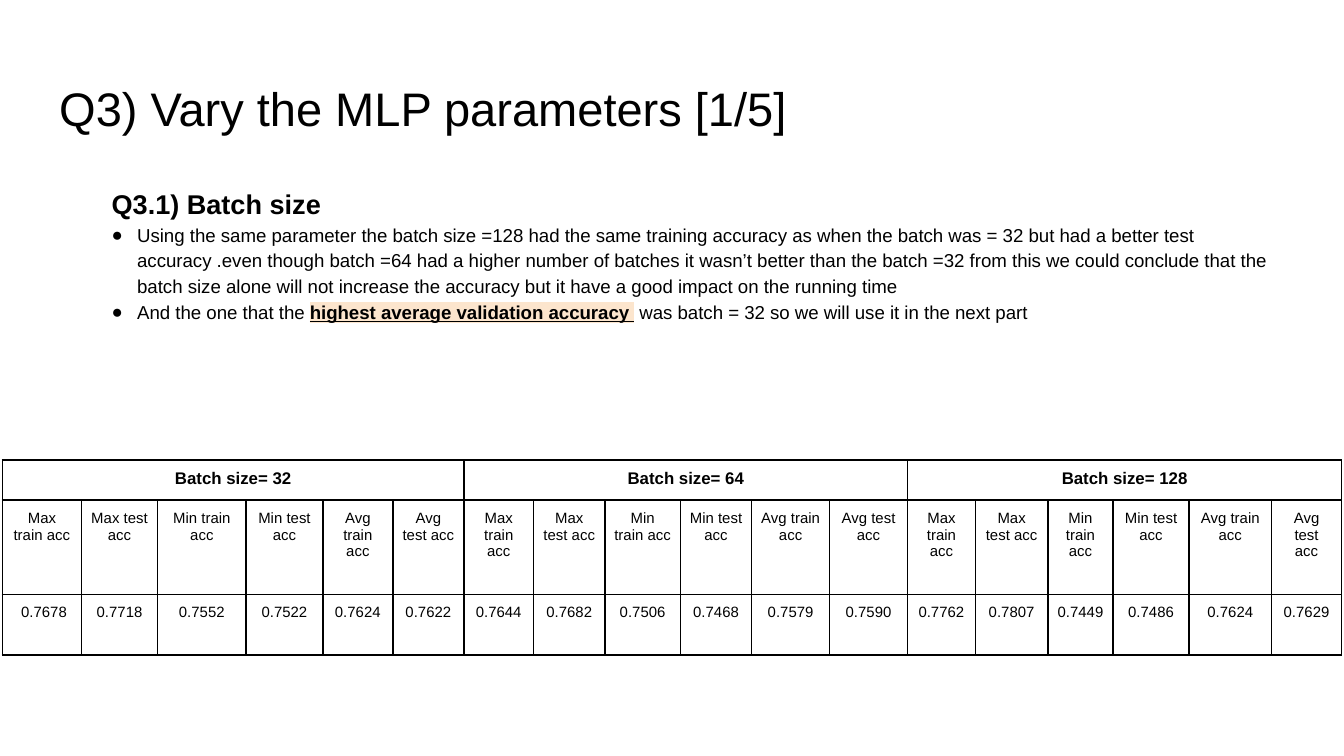
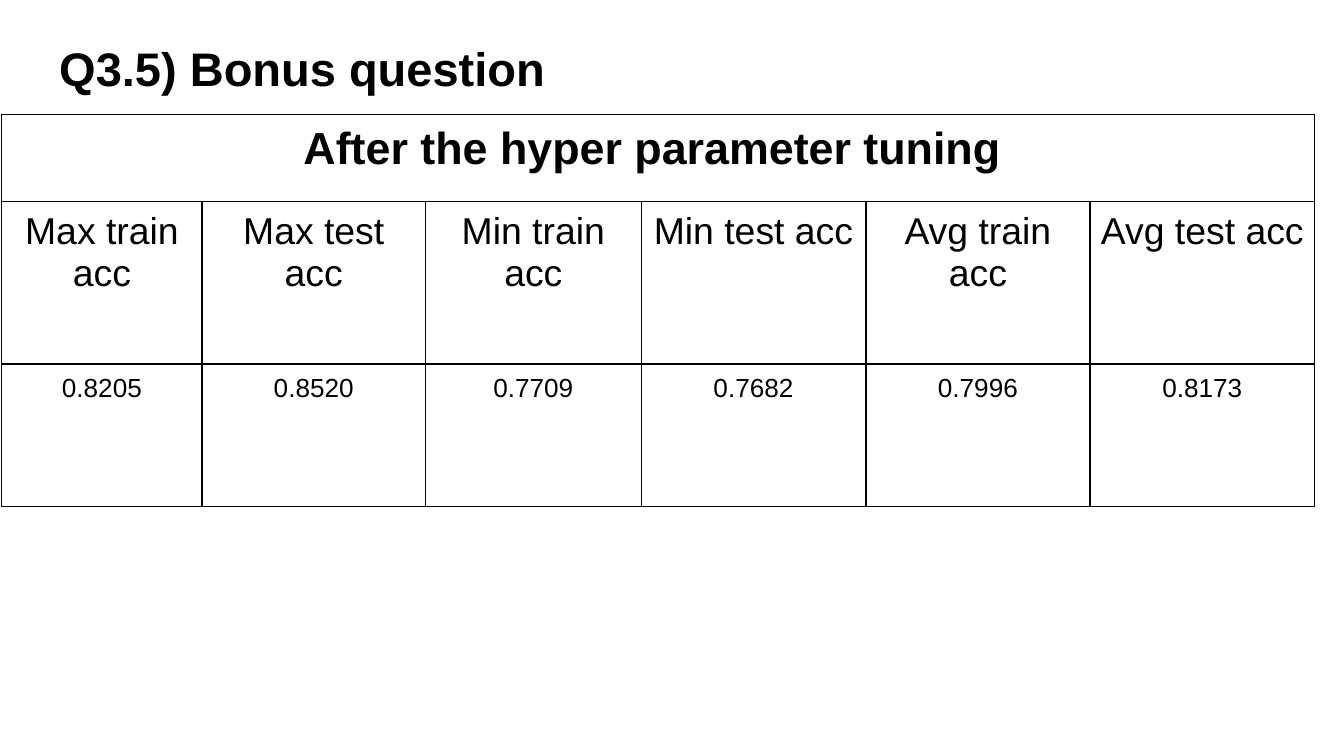
from dataclasses import dataclass
from itertools import product

from lxml.etree import SubElement
from pptx import Presentation
from pptx.dml.color import RGBColor
from pptx.enum.text import MSO_ANCHOR, PP_ALIGN
from pptx.oxml.ns import qn
from pptx.slide import Slide
from pptx.util import Emu, Pt

EMU_PER_PX = 2286  # 400 px to the inch


@dataclass(frozen=True)
class Theme:
    font: str = "Arial"
    ink: str = "000000"
    paper: str = "FFFFFF"
    marker: str = "FCE5CD"
    title_size: float = 25.2
    heading_size: float = 14.5
    body_size: float = 10
    body_spacing: float = 1.15
    cell_inset: float = 5
    border: float = 1


@dataclass(frozen=True)
class Box:
    left: int
    top: int
    width: int
    height: int


@dataclass(frozen=True)
class TextRun:
    text: str
    size: float
    bold: bool = False
    underline: bool = False
    highlight: str | None = None


@dataclass(frozen=True)
class BodyLine:
    runs: tuple[TextRun, ...]
    margin: int
    indent: int = 0
    bullet: str | None = None


@dataclass(frozen=True)
class ResultGroup:
    heading: str
    values: tuple[str, ...]


@dataclass(frozen=True)
class ResultTable:
    left: int
    top: int
    columns: tuple[int, ...]
    rows: tuple[int, ...]
    sizes: tuple[float, ...]
    groups: tuple[ResultGroup, ...]
    fill: str | None = None


THEME = Theme()
METRICS = tuple(
    f"{statistic} {part} acc"
    for statistic, part in product(("Max", "Min", "Avg"), ("train", "test"))
)

BATCH_NOTES = (
    BodyLine((TextRun("Q3.1) Batch size", THEME.heading_size, bold=True),), margin=156),
    BodyLine(
        (
            TextRun(
                "Using the same parameter the batch size =128 had the same training "
                "accuracy as when the batch was = 32 but had a better test accuracy "
                ".even though batch =64 had a higher number of batches it wasn’t better "
                "than the batch =32 from this we could conclude that the batch size "
                "alone will not increase the accuracy but it have a good impact on the "
                "running time",
                THEME.body_size,
            ),
        ),
        margin=232, indent=-76, bullet="●",
    ),
    BodyLine(
        (
            TextRun("And the one that the ", THEME.body_size),
            TextRun("highest average validation accuracy ", THEME.body_size,
                    bold=True, underline=True, highlight=THEME.marker),
            TextRun(" was batch = 32 so we will use it in the next part",
                    THEME.body_size),
        ),
        margin=232, indent=-76, bullet="●",
    ),
)

BATCH_TABLE = ResultTable(
    left=7,
    top=1369,
    columns=(236, 226, 264, 228, 209, 211, 208, 212, 225,
             212, 232, 232, 202, 216, 194, 226, 246, 208),
    rows=(120, 280, 180),
    sizes=(9, 8, 8),
    groups=(
        ResultGroup("Batch size= 32",
                    (" 0.7678", "0.7718", "0.7552", "0.7522", "0.7624", "0.7622")),
        ResultGroup("Batch size= 64",
                    ("0.7644", "0.7682", "0.7506", "0.7468", "0.7579", "0.7590")),
        ResultGroup("Batch size= 128",
                    ("0.7762", "0.7807", "0.7449", "0.7486", "0.7624", "0.7629")),
    ),
)

TUNED_TABLE = ResultTable(
    left=5,
    top=341,
    columns=(597, 664, 643, 668, 668, 668),
    rows=(259, 484, 424),
    sizes=(24, 20, 14),
    groups=(
        ResultGroup("After the hyper parameter tuning ",
                    ("0.8205", "0.8520", "0.7709", "0.7682", "0.7996", "0.8173")),
    ),
    fill=THEME.paper,
)


def px(length: int) -> Emu:
    return Emu(length * EMU_PER_PX)


def add_color(parent, tag: str, color: str) -> None:
    """Append a colour-holding element such as a:highlight or a:buClr."""
    SubElement(SubElement(parent, qn(tag)), qn("a:srgbClr"), val=color)


def add_bullet(properties, character: str) -> None:
    add_color(properties, "a:buClr", THEME.ink)
    SubElement(properties, qn("a:buSzPts"), val=str(THEME.body_size * 100))
    SubElement(properties, qn("a:buFont"), typeface=THEME.font)
    SubElement(properties, qn("a:buChar"), char=character)


def add_run(paragraph, text_run: TextRun) -> None:
    run = paragraph.add_run()
    run.text = text_run.text
    font = run.font
    font.size = Pt(text_run.size)
    font.bold = text_run.bold
    font.underline = text_run.underline
    font.color.rgb = RGBColor.from_string(THEME.ink)
    if text_run.highlight:
        add_color(run._r.get_or_add_rPr(), "a:highlight", text_run.highlight)
    font.name = THEME.font


def add_text_frame(slide: Slide, box: Box, anchor: MSO_ANCHOR):
    shape = slide.shapes.add_textbox(
        px(box.left), px(box.top), px(box.width), px(box.height)
    )
    frame = shape.text_frame
    frame.word_wrap = True
    frame.vertical_anchor = anchor
    frame.margin_left = frame.margin_right = px(40)
    frame.margin_top = frame.margin_bottom = px(40)
    return frame


def add_title(slide: Slide, text: str, top: int, bold: bool = False) -> None:
    frame = add_text_frame(slide, Box(137, top, 3727, 251), MSO_ANCHOR.MIDDLE)
    add_run(frame.paragraphs[0], TextRun(text, THEME.title_size, bold))


def add_body(slide: Slide, lines: tuple[BodyLine, ...]) -> None:
    frame = add_text_frame(slide, Box(137, 504, 3727, 1495), MSO_ANCHOR.TOP)
    for index, line in enumerate(lines):
        paragraph = frame.add_paragraph() if index else frame.paragraphs[0]
        paragraph.line_spacing = THEME.body_spacing
        properties = paragraph._p.get_or_add_pPr()
        properties.set("marL", str(px(line.margin)))
        properties.set("indent", str(px(line.indent)))
        if line.bullet:
            add_bullet(properties, line.bullet)
        for text_run in line.runs:
            add_run(paragraph, text_run)


def style_cell(cell, fill: str | None) -> None:
    """Set the insets, the four borders and the fill of a cell."""
    cell.margin_left = cell.margin_right = Pt(THEME.cell_inset)
    cell.margin_top = cell.margin_bottom = Pt(THEME.cell_inset)
    properties = cell._tc.get_or_add_tcPr()
    for side in ("a:lnL", "a:lnR", "a:lnT", "a:lnB"):
        line = SubElement(properties, qn(side), w=str(Pt(THEME.border)))
        add_color(line, "a:solidFill", THEME.ink)
    if fill:
        cell.fill.solid()
        cell.fill.fore_color.rgb = RGBColor.from_string(fill)
    else:
        cell.fill.background()


def write_cell(cell, text: str, size: float, bold: bool = False) -> None:
    paragraph = cell.text_frame.paragraphs[0]
    paragraph.alignment = PP_ALIGN.CENTER
    add_run(paragraph, TextRun(text, size, bold))


def add_results(slide: Slide, results: ResultTable) -> None:
    table = slide.shapes.add_table(
        len(results.rows), len(results.columns),
        px(results.left), px(results.top),
        px(sum(results.columns)), px(sum(results.rows)),
    ).table
    table.first_row = table.horz_banding = False
    for column, width in zip(table.columns, results.columns):
        column.width = px(width)
    for row, height in zip(table.rows, results.rows):
        row.height = px(height)
    for cell in table.iter_cells():
        style_cell(cell, results.fill)

    heading_size, metric_size, value_size = results.sizes
    for group_index, group in enumerate(results.groups):
        first = group_index * len(METRICS)
        heading = table.cell(0, first)
        heading.merge(table.cell(0, first + len(METRICS) - 1))
        write_cell(heading, group.heading, heading_size, bold=True)
        for column, (metric, value) in enumerate(zip(METRICS, group.values), first):
            write_cell(table.cell(1, column), metric, metric_size)
            write_cell(table.cell(2, column), value, value_size)


def add_blank_slide(presentation) -> Slide:
    slide = presentation.slides.add_slide(presentation.slide_layouts[6])
    slide.background.fill.solid()
    slide.background.fill.fore_color.rgb = RGBColor.from_string(THEME.paper)
    return slide


def main() -> None:
    presentation = Presentation()
    presentation.slide_width = px(4000)
    presentation.slide_height = px(2250)

    batch_slide = add_blank_slide(presentation)
    add_title(batch_slide, "Q3) Vary the MLP parameters [1/5]", top=195)
    add_body(batch_slide, BATCH_NOTES)
    add_results(batch_slide, BATCH_TABLE)

    bonus_slide = add_blank_slide(presentation)
    add_title(bonus_slide, "Q3.5) Bonus question", top=76, bold=True)
    add_results(bonus_slide, TUNED_TABLE)

    presentation.save("out.pptx")


if __name__ == "__main__":
    main()
